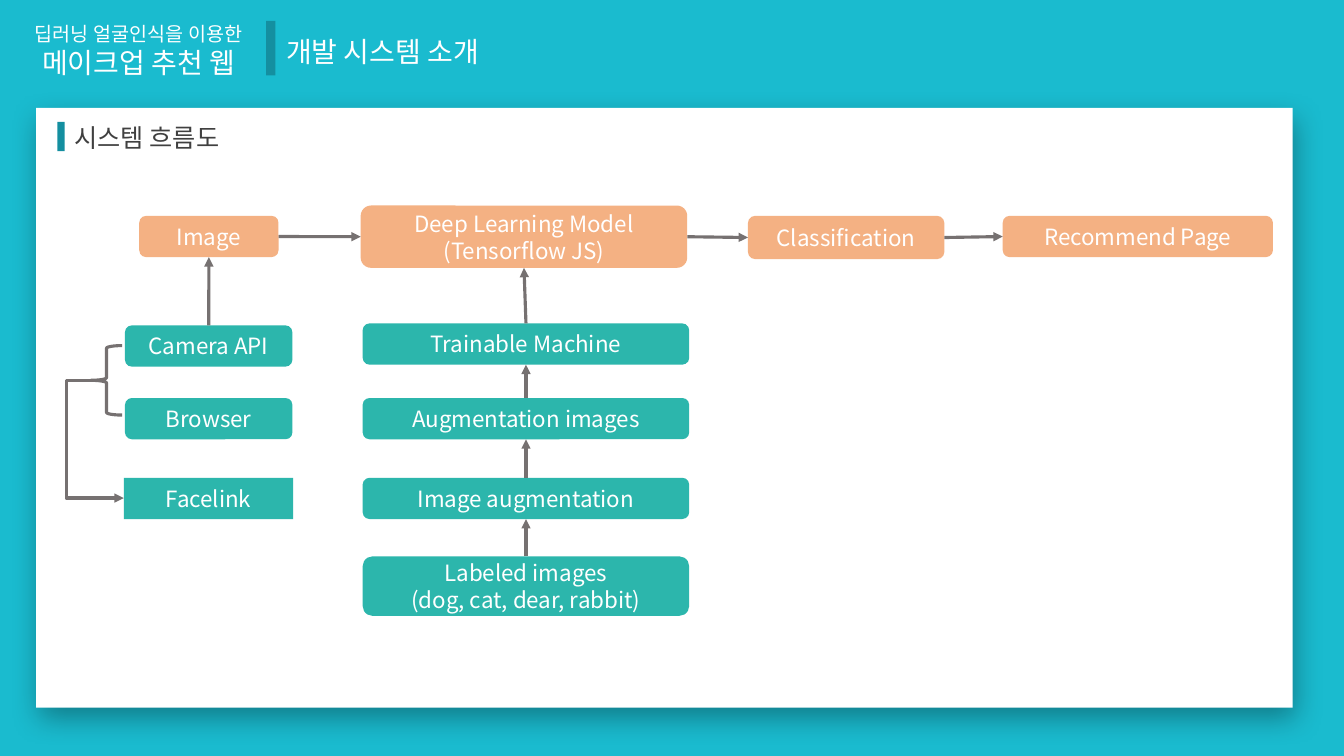
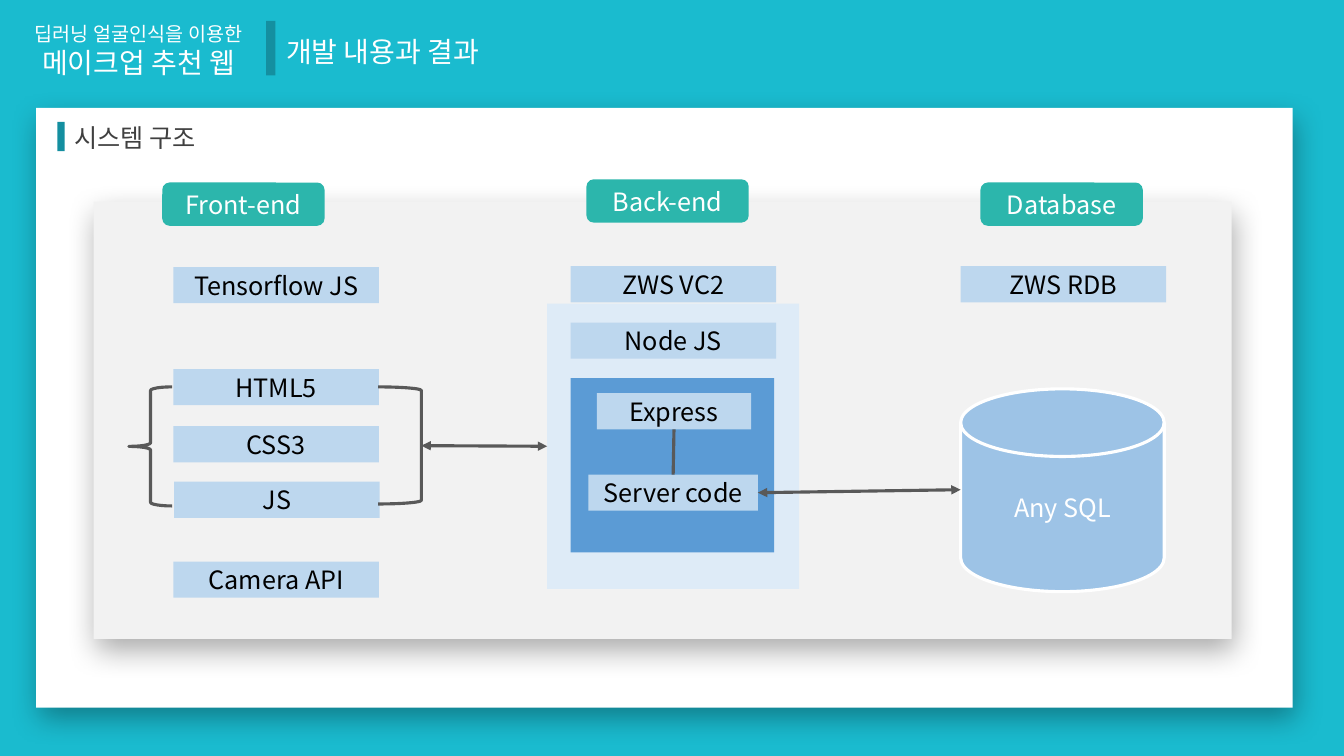
from lxml import etree
from pptx import Presentation
from pptx.dml.color import RGBColor
from pptx.enum.shapes import MSO_CONNECTOR, MSO_SHAPE
from pptx.enum.text import MSO_ANCHOR, MSO_AUTO_SIZE, PP_ALIGN
from pptx.oxml.ns import qn
from pptx.util import Cm, Pt

RECT = MSO_SHAPE.RECTANGLE
ROUND = MSO_SHAPE.ROUNDED_RECTANGLE
BRACE = MSO_SHAPE.LEFT_BRACE
BRACKET = MSO_SHAPE.RIGHT_BRACKET
DISK = MSO_SHAPE.FLOWCHART_MAGNETIC_DISK
STRAIGHT, ELBOW = MSO_CONNECTOR.STRAIGHT, MSO_CONNECTOR.ELBOW
LEFT, CENTER = PP_ALIGN.LEFT, PP_ALIGN.CENTER
MIDDLE = MSO_ANCHOR.MIDDLE
GROW = MSO_AUTO_SIZE.SHAPE_TO_FIT_TEXT
N, W, S, E = range(4)


def rgb(code):
    return RGBColor.from_string(code)


class Deck:
    font = "Noto Sans CJK KR"
    back, dark, white = "1ABBCF", "148FA0", "FFFFFF"
    peach, teal, sky = "F4B183", "2CB6AC", "BDD7EE"
    ink, stroke = "404040", 2.25

    def __init__(self):
        self.prs = Presentation()
        self.prs.slide_width = Cm(33.87)
        self.prs.slide_height = Cm(19.05)

    def page(self, title, topic, pen):
        self.slide = self.prs.slides.add_slide(self.prs.slide_layouts[6])
        self.pen = pen
        fill = self.slide.background.fill
        fill.solid()
        fill.fore_color.rgb = rgb(self.back)
        self.text("딥러닝 얼굴인식을 이용한\n메이크업 추천 웹", 0.28, 0.43, 6.43, 1.7,
                  (14, 20), align=CENTER)
        self.box(RECT, 6.71, 0.53, 0.23, 1.37, self.dark)
        self.text(title, 6.96, 0.74, 11, 1.12, (20,))
        self.card(0.91, 2.72, 31.67, 15.11, self.white)
        self.box(RECT, 1.45, 3.07, 0.18, 0.74, self.dark)
        self.text(topic, 1.63, 2.97, 11.02, 1.02, (18,), self.ink)

    def label(self, shape, text, sizes, color, align):
        frame = shape.text_frame
        frame.word_wrap = True
        frame.text = text
        for i, para in enumerate(frame.paragraphs):
            para.alignment = align
            for run in para.runs:
                run.font.size = Pt(sizes[i % len(sizes)])
                run.font.color.rgb = rgb(color)
                run.font.name = self.font
        for props in shape.element.iter(qn("a:rPr")):
            etree.SubElement(props, qn("a:ea"), typeface=self.font)

    def text(self, text, x, y, w, h, sizes, color=white, align=LEFT):
        box = self.slide.shapes.add_textbox(Cm(x), Cm(y), Cm(w), Cm(h))
        self.label(box, text, sizes, color, align)
        box.text_frame.auto_size = GROW

    def box(self, kind, x, y, w, h, fill=None, line=None, text="", size=16,
            color=white):
        shape = self.slide.shapes.add_shape(kind, Cm(x), Cm(y), Cm(w), Cm(h))
        shape.shadow.inherit = False
        if fill:
            shape.fill.solid()
            shape.fill.fore_color.rgb = rgb(fill)
        else:
            shape.fill.background()
        if line:
            shape.line.color.rgb = rgb(line)
            shape.line.width = Pt(self.stroke)
        else:
            shape.line.fill.background()
        if text:
            shape.text_frame.vertical_anchor = MIDDLE
            self.label(shape, text, (size,), color, CENTER)
        return shape

    def card(self, x, y, w, h, fill):
        shape = self.box(RECT, x, y, w, h, fill)
        glow = shape.element.spPr.find(qn("a:effectLst"))
        shade = etree.SubElement(glow, qn("a:outerShdw"), blurRad=str(Pt(21)),
                                 dist=str(Pt(9)), dir=str(73 * 60000),
                                 algn="tl", rotWithShape="0")
        tint = etree.SubElement(shade, qn("a:srgbClr"), val="000000")
        etree.SubElement(tint, qn("a:alpha"), val="33000")

    def node(self, text, x, y, w, h=1.04, fill=teal, kind=ROUND):
        return self.box(kind, x, y, w, h, fill, text=text)

    def tag(self, text, x, y):
        self.box(ROUND, x, y, 4.09, 1.09, self.teal, text=text, size=18)

    def chip(self, text, x, y, w=5.18):
        return self.box(RECT, x, y, w, 0.91, self.sky, text=text, size=18,
                        color="000000")

    def line(self, x1, y1, x2, y2, ends=("tailEnd",), kind=STRAIGHT):
        wire = self.slide.shapes.add_connector(kind, Cm(x1), Cm(y1), Cm(x2), Cm(y2))
        wire.line.color.rgb = rgb(self.pen)
        wire.line.width = Pt(self.stroke)
        props = wire.element.spPr
        for end in ends:
            etree.SubElement(props.find(qn("a:ln")), qn("a:" + end), type="triangle")
        etree.SubElement(props, qn("a:effectLst"))
        return wire

    def link(self, a, out, b, into, ends=("tailEnd",)):
        wire = self.line(0, 0, 1, 1, ends)
        wire.begin_connect(a, out)
        wire.end_connect(b, into)

    def bend(self, x1, y1, x2, y2, ratio):
        wire = self.line(x1, y1, x2, y2, kind=ELBOW)
        geom = wire.element.spPr.find(qn("a:prstGeom"))
        adjust = geom.find(qn("a:avLst"))
        if adjust is None:
            adjust = etree.SubElement(geom, qn("a:avLst"))
        etree.SubElement(adjust, qn("a:gd"), name="adj1",
                         fmla=f"val {round(ratio * 100000)}")


def flow(deck):
    deck.page("개발 시스템 소개", "시스템 흐름도", "767171")
    steps = [deck.node(*step, fill=deck.peach) for step in (
        ("Image", 3.51, 5.44, 3.51),
        ("Deep Learning Model\n(Tensorflow JS)", 9.09, 5.18, 8.23, 1.57),
        ("Classification", 18.85, 5.44, 4.95, 1.09),
        ("Recommend Page", 25.27, 5.44, 6.81))]
    for a, b in zip(steps, steps[1:]):
        deck.link(a, E, b, W)

    camera = deck.node("Camera API", 3.15, 8.2, 4.22)
    deck.node("Browser", 3.15, 10.03, 4.22)
    deck.node("Facelink", 3.12, 12.04, 4.27, kind=RECT)
    deck.link(camera, N, steps[0], S)
    deck.box(BRACE, 2.29, 8.71, 0.79, 1.75, line=deck.pen)
    deck.bend(2.29, 9.59, 3.12, 12.55, -0.75)

    chain = [steps[1]] + [deck.node(text, 9.14, y, 8.23, h) for text, y, h in (
        ("Trainable Machine", 8.15, 1.04),
        ("Augmentation images", 10.03, 1.04),
        ("Image augmentation", 12.04, 1.04),
        ("Labeled images\n(dog, cat, dear, rabbit)", 14.02, 1.5))]
    for upper, lower in zip(chain, chain[1:]):
        deck.link(lower, N, upper, S)


def stack(deck):
    deck.page("개발 내용과 결과", "시스템 구조", "595959")
    deck.card(2.36, 5.08, 28.68, 11.02, "F2F2F2")
    panel = deck.box(RECT, 13.79, 7.65, 6.35, 7.19, "DEEBF7")
    deck.box(RECT, 14.38, 9.53, 5.13, 4.39, "5B9BD5")
    deck.box(DISK, 24.21, 9.8, 5.13, 5.11, "9DC3E6", deck.white, "Any SQL", 18)

    for text, x, y in (("Front-end", 4.09, 4.6), ("Back-end", 14.78, 4.52),
                       ("Database", 24.71, 4.6)):
        deck.tag(text, x, y)
    for text, x, y in (("Tensorflow JS", 4.37, 6.73), ("HTML5", 4.37, 9.3),
                       ("CSS3", 4.37, 10.74), ("JS", 4.39, 12.14),
                       ("Camera API", 4.37, 14.15), ("ZWS VC2", 14.38, 6.71),
                       ("Node JS", 14.38, 8.13), ("ZWS RDB", 24.21, 6.71)):
        deck.chip(text, x, y)
    router = deck.chip("Express", 15.04, 9.91, 3.89)
    server = deck.chip("Server code", 14.83, 11.96, 4.27)

    deck.box(BRACE, 3.25, 9.75, 1.09, 3, line=deck.pen)
    deck.box(BRACKET, 9.53, 9.75, 1.09, 2.95, line=deck.pen)
    both = ("headEnd", "tailEnd")
    deck.line(10.62, 11.23, 13.79, 11.25, both).end_connect(panel, W)
    deck.link(router, S, server, N, ())
    deck.line(19.1, 12.42, 24.21, 12.34, both).begin_connect(server, E)


def main():
    deck = Deck()
    flow(deck)
    stack(deck)
    deck.prs.save("out.pptx")


if __name__ == "__main__":
    main()
